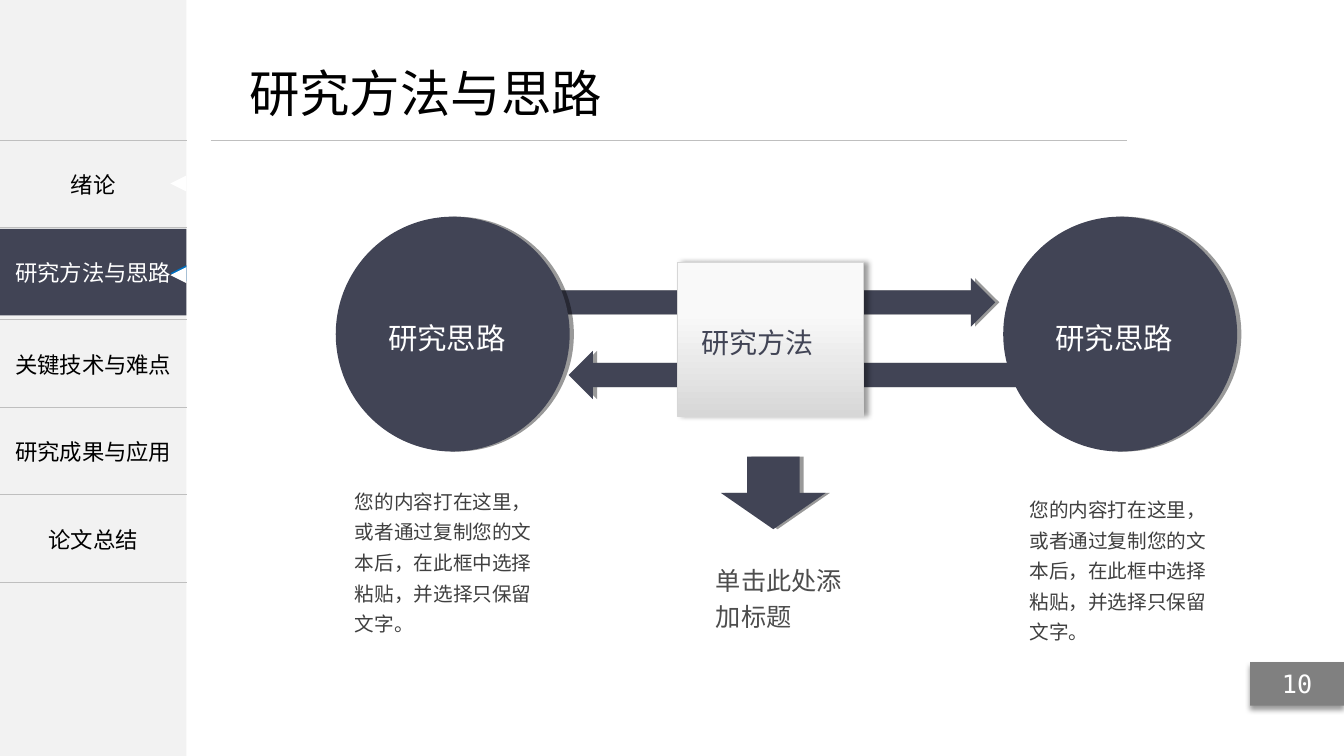
from lxml import etree
from pptx import Presentation
from pptx import util as u
from pptx.dml.color import RGBColor
from pptx.enum import shapes, text
from pptx.oxml import ns

PX = 9144  # EMU per px, 100 px to the inch
COLORS = {
    "white": "FFFFFF", "black": "000000", "sidebar": "F2F2F2", "rule": "BFBFBF",
    "navy": "414455", "blue": "0070C0", "badge": "808080", "body": "404040",
    "caption": "4D4D4D", "card_top": "F9F9F9", "card_bottom": "D7D7D7",
}
SANS, MONO = "Noto Sans CJK SC", "DejaVu Sans Mono"
SHAPE = shapes.MSO_SHAPE
LEFT, CENTER = text.PP_ALIGN.LEFT, text.PP_ALIGN.CENTER
TOP, MIDDLE = text.MSO_ANCHOR.TOP, text.MSO_ANCHOR.MIDDLE
CHAPTERS = ["绪论", "研究方法与思路", "关键技术与难点", "研究成果与应用", "论文总结"]
ROW_HEIGHTS = [87, 91, 87, 87, 87]
ACTIVE = 1
NOTE = "您的内容打在这里，或者通过复制您的文本后，在此框中选择粘贴，并选择只保留文字。"


def px(*lengths):
    return [u.Emu(length * PX) for length in lengths]


def rgb(name):
    return RGBColor.from_string(COLORS[name])


def add_element(parent, tag, **attributes):
    return etree.SubElement(parent, ns.qn(tag), attributes)


def style_paragraph(paragraph, size, color, align=LEFT, font=SANS, spacing=None):
    paragraph.alignment = align
    if spacing:
        paragraph.line_spacing = spacing
    paragraph.font.size = u.Pt(size)
    paragraph.font.name = font
    paragraph.font.color.rgb = rgb(color)
    defaults = paragraph._p.pPr.find(ns.qn("a:defRPr"))
    add_element(defaults, "a:ea", typeface=font)


def write(shape, words, size, color, anchor=MIDDLE, inset=5, indent=0, wrap=True, **style):
    """Fill a shape's frame; indent widens only the left inset."""
    frame = shape.text_frame
    frame.word_wrap = wrap
    frame.vertical_anchor = anchor
    frame.margin_left, frame.margin_right = px(inset + indent, inset)
    frame.margin_top, frame.margin_bottom = px(inset, inset)
    frame.text = words
    style_paragraph(frame.paragraphs[0], size, color, **style)


def add_label(slide, box, words, size, color, **style):
    write(slide.shapes.add_textbox(*px(*box)), words, size, color, **style)


def add_shape(slide, preset, box, color, rotation=0):
    shape = slide.shapes.add_shape(preset, *px(*box))
    shape.shadow.inherit = False
    shape.fill.solid()
    shape.fill.fore_color.rgb = rgb(color)
    shape.line.fill.background()
    shape.rotation = rotation
    return shape


def add_shadow(shape, blur=0, degrees=0):
    effects = shape._element.spPr.find(ns.qn("a:effectLst"))
    shadow = add_element(effects, "a:outerShdw", blurRad=str(u.Pt(blur)), dist=str(u.Pt(3)),
                         dir=str(degrees * 60000), algn="ctr", rotWithShape="0")
    black = add_element(shadow, "a:srgbClr", val=COLORS["black"])
    add_element(black, "a:alpha", val="40000")


def rule_cell(cell):
    """Draw grey lines above and below a cell and none at its sides."""
    cell.fill.background()
    properties = cell._tc.get_or_add_tcPr()
    for index, side in enumerate(["L", "R", "T", "B"]):
        line = etree.Element(ns.qn(f"a:ln{side}"), w=str(u.Pt(1)))
        if side in "LR":
            add_element(line, "a:noFill")
        else:
            add_element(add_element(line, "a:solidFill"), "a:srgbClr", val=COLORS["rule"])
        properties.insert(index, line)


def add_chapter_table(slide, box):
    table = slide.shapes.add_table(len(CHAPTERS), 1, *px(*box)).table
    table.first_row = table.horz_banding = False
    for index, (chapter, height) in enumerate(zip(CHAPTERS, ROW_HEIGHTS)):
        table.rows[index].height = u.Emu(height * PX)
        cell = table.cell(index, 0)
        rule_cell(cell)
        cell.vertical_anchor = MIDDLE
        cell.margin_left, cell.margin_right, cell.margin_top, cell.margin_bottom = px(5, 5, 5, 5)
        if index != ACTIVE:
            cell.text = chapter
            style_paragraph(cell.text_frame.paragraphs[0], 16, "black", CENTER)


def add_sidebar(slide, box):
    left, top, width, height = box
    add_shape(slide, SHAPE.RECTANGLE, box, "sidebar")
    table_top = top + 139
    add_chapter_table(slide, (left, table_top, width, sum(ROW_HEIGHTS)))
    active_top = table_top + sum(ROW_HEIGHTS[:ACTIVE]) + 1
    bar = add_shape(slide, SHAPE.RECTANGLE, (left, active_top, width, 86), "navy")
    write(bar, CHAPTERS[ACTIVE], 16, "white", align=CENTER)
    notch_left = left + width - 16
    for notch_top, color in [(table_top + 35, "white"), (active_top + 36, "blue"),
                             (active_top + 38, "white")]:
        add_shape(slide, SHAPE.ISOSCELES_TRIANGLE, (notch_left, notch_top, 16, 16), color, 270)


def add_header(slide, box):
    left, top, width, height = box
    title = slide.shapes.title
    title.left, title.top, title.width, title.height = px(left + 33, top, 361, 79)
    write(title, CHAPTERS[ACTIVE], 36, "black", anchor=TOP, wrap=False)
    bottom = top + height
    rule = slide.shapes.add_connector(shapes.MSO_CONNECTOR.STRAIGHT,
                                      *px(left, bottom, left + width, bottom))
    rule.line.color.rgb = rgb("rule")
    rule.line.width = u.Pt(0.5)
    add_element(rule._element.spPr, "a:effectLst")


def add_arrow(slide, preset, box):
    add_shadow(add_shape(slide, preset, box, "navy"))


def add_circle(slide, box):
    left, top, width, height = box
    add_shadow(add_shape(slide, SHAPE.OVAL, box, "navy"))
    add_label(slide, (left + 34, top + 91, 164, 52), "研究思路", 21, "white",
              inset=6, indent=12, spacing=1.2)


def add_method_card(slide, box):
    left, top, width, height = box
    card = add_shape(slide, SHAPE.RECTANGLE, box, "card_top")
    card.fill.gradient()
    card.fill.gradient_angle = 270
    for stop, position, color in zip(card.fill.gradient_stops, [0.33, 1],
                                     ["card_top", "card_bottom"]):
        stop.position = position
        stop.color.rgb = rgb(color)
    card.line.color.rgb = rgb("card_bottom")
    card.line.width = u.Pt(0.25)
    add_shadow(card, blur=4)
    add_label(slide, (left, top + 51, width, 51), "研究方法", 20, "navy",
              inset=6, indent=18, spacing=1.2)


def add_diagram(slide, box):
    left, top, width, height = box
    add_arrow(slide, SHAPE.RIGHT_ARROW, (left + 215, top + 61, 439, 48))
    add_arrow(slide, SHAPE.LEFT_ARROW, (left + 231, top + 133, 455, 48))
    for circle_left in (left, left + width - 232):
        add_circle(slide, (circle_left, top, 232, 233))
    add_method_card(slide, (left + 339, top + 45, 184, 153))
    add_arrow(slide, SHAPE.DOWN_ARROW, (left + 382, top + 238, 104, 72))
    for note_left, note_top in [(left + 13, top + 258), (left + 682, top + 266)]:
        add_label(slide, (note_left, note_top, 192, 184), NOTE, 14, "body",
                  anchor=TOP, inset=6, spacing=1.3)
    add_label(slide, (left + 371, top + 334, 145, 88), "单击此处添加标题", 18, "caption",
              anchor=TOP, inset=6, spacing=1.2)


def add_page_badge(slide, box):
    badge = add_shape(slide, SHAPE.RECTANGLE, box, "badge")
    add_shadow(badge, blur=4, degrees=90)
    write(badge, "10", 18, "white", align=CENTER, font=MONO)


def main():
    presentation = Presentation()
    presentation.slide_width, presentation.slide_height = px(1333, 750)
    slide = presentation.slides.add_slide(presentation.slide_layouts.get_by_name("Title Only"))
    add_sidebar(slide, (0, 0, 185, 750))
    add_header(slide, (209, 57, 909, 82))
    add_page_badge(slide, (1240, 657, 93, 43))
    add_diagram(slide, (333, 215, 894, 442))
    presentation.save("out.pptx")


if __name__ == "__main__":
    main()
